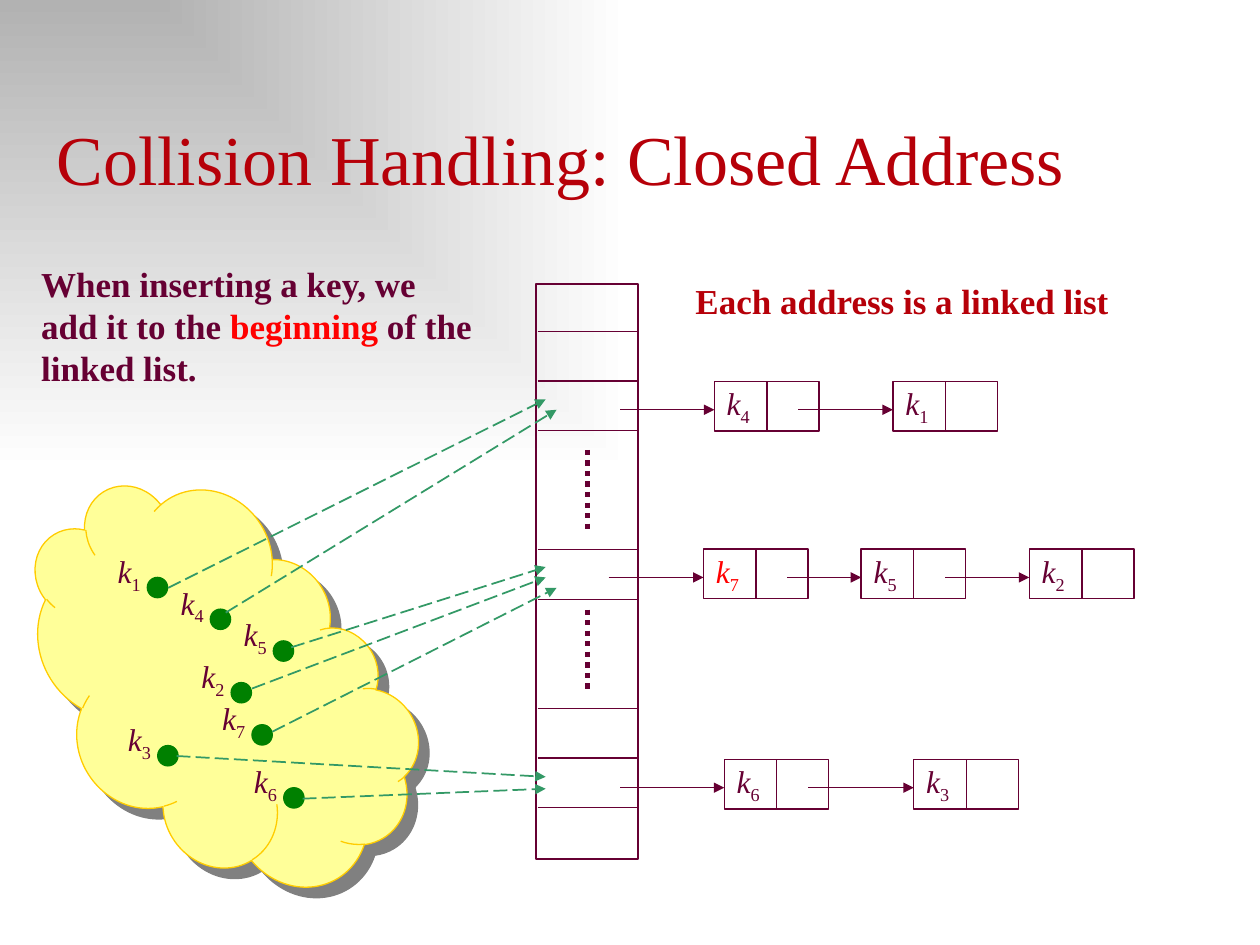
from lxml import etree
from pptx import Presentation
from pptx.dml.color import RGBColor
from pptx.enum.dml import MSO_LINE
from pptx.enum.shapes import MSO_CONNECTOR, MSO_SHAPE
from pptx.enum.text import MSO_ANCHOR
from pptx.oxml.ns import qn
from pptx.util import Cm, Pt

RECT, OVAL, CLOUD = MSO_SHAPE.RECTANGLE, MSO_SHAPE.OVAL, MSO_SHAPE.CLOUD
STRAIGHT = MSO_CONNECTOR.STRAIGHT
DOTS, DASHES = MSO_LINE.ROUND_DOT, MSO_LINE.LONG_DASH
TOP, BOTTOM = MSO_ANCHOR.TOP, MSO_ANCHOR.BOTTOM

HUES = {
    "gray": "B2B2B2", "white": "FFFFFF", "plum": "660033", "title": "B60009",
    "red": "FF0000", "cream": "FFFF99", "gold": "FFCC00", "shade": "808080",
    "green": "008000", "teal": "339966",
}
FONT = "Times New Roman"
TITLE = {"size": Pt(40)}
KEY = {"size": Pt(18), "italic": True}
SUB = {"size": Pt(18), "italic": False}
NOTE = {"size": Pt(20), "bold": True}

# First divider and number of dividers in each part of the hash table
RULES = [(6.68, 3), (11.08, 2), (14.28, 3)]
GAPS = [9.07, 12.29]

# Row top, start of the first link, then (left, key) of each node
CHAINS = [
    (7.62, 12.5, [(14.4, 4), (18, 1)]),
    (11, 12.27, [(14.18, 7), (17.36, 5), (20.75, 2)]),
    (15.24, 12.5, [(14.6, 6), (18.42, 3)]),
]

# Key, label corner, arrow start, arrow end
KEYS = [
    (1, (2.12, 11), (3.39, 11.85), (11, 8.05)),
    (5, (4.66, 12.28), (5.87, 13.05), (11, 11.43)),
    (2, (3.81, 13.12), (5.08, 13.88), (11, 11.64)),
    (4, (3.39, 11.64), (4.55, 12.35), (11.22, 8.26)),
    (3, (2.33, 14.39), (3.56, 15.24), (11, 15.66)),
    (7, (4.23, 13.97), (5.49, 14.75), (11.22, 11.85)),
    (6, (4.87, 15.24), (6.1, 16.1), (11, 15.9)),
]


def color(name):
    return RGBColor.from_string(HUES[name])


def child(node, tag, **attrs):
    return etree.SubElement(node, qn(tag), attrs)


class Pen:
    """Draws on the current slide, or inside a group passed as home."""

    def __init__(self, slide):
        self.slide = slide
        self.home = slide.shapes

    def group(self):
        return self.slide.shapes.add_group_shape().shapes

    def ground(self):
        fill = self.slide.background.fill
        fill.gradient()
        for stop, name in zip(fill.gradient_stops, ("gray", "white")):
            stop.color.rgb = color(name)
        grad = self.slide.element.find(".//" + qn("a:gradFill"))
        lin = grad.find(qn("a:lin"))
        if lin is not None:
            grad.remove(lin)
        focus = child(grad, "a:path", path="rect")
        child(focus, "a:fillToRect", r="100000", b="100000")

    def shape(self, kind, left, top, width, height, fill=None, line="plum",
              weight=0.75, home=None):
        item = (home or self.home).add_shape(
            kind, Cm(left), Cm(top), Cm(width), Cm(height))
        item.shadow.inherit = False
        if fill:
            item.fill.solid()
            item.fill.fore_color.rgb = color(fill)
        else:
            item.fill.background()
        item.line.color.rgb = color(line)
        item.line.width = Pt(weight)
        return item

    def line(self, start, end, hue="plum", weight=0.75, dash=None,
             arrow=False, home=None):
        ends = [Cm(n) for n in (*start, *end)]
        item = (home or self.home).add_connector(STRAIGHT, *ends)
        item.line.color.rgb = color(hue)
        item.line.width = Pt(weight)
        if dash:
            item.line.dash_style = dash
        if arrow:
            child(item.line._get_or_add_ln(), "a:tailEnd", type="triangle")
        child(item._element.spPr, "a:effectLst")

    def text(self, left, top, width, height, runs, anchor=TOP, home=None):
        """Each run is (words, format, hue)."""
        box = (home or self.home).add_textbox(
            Cm(left), Cm(top), Cm(width), Cm(height))
        frame = box.text_frame
        frame.word_wrap = True
        frame.vertical_anchor = anchor
        for words, style, hue in runs:
            run = frame.paragraphs[0].add_run()
            run.text = words
            for name, value in style.items():
                setattr(run.font, name, value)
            run.font.name = FONT
            run.font.color.rgb = color(hue)
            if style is SUB:
                run._r.get_or_add_rPr().set("baseline", "-25000")

    def label(self, left, top, width, key, hue, home):
        runs = [("k", KEY, hue), (str(key), SUB, hue)]
        self.text(left, top, width, 1.01, runs, home=home)

    def cloud(self):
        item = self.shape(CLOUD, -0.2, 10.8, 9.1, 6.15, "cream", "gold")
        item.rotation = 58.1
        effects = item._element.spPr.find(qn("a:effectLst"))
        shade = child(effects, "a:outerShdw", dist=str(Pt(8.5)),
                      dir="2700000", algn="ctr", rotWithShape="0")
        child(shade, "a:srgbClr", val=HUES["shade"])

    def table(self):
        home = self.group()
        self.shape(RECT, 10.8, 5.72, 2.07, 11.6, weight=1, home=home)
        for first, count in RULES:
            for row in range(count):
                y = first + row
                self.line((10.84, y), (12.84, y), home=home)
        for y in GAPS:
            self.line((11.84, y), (11.84, y + 1.6), weight=3, dash=DOTS,
                      home=home)

    def node(self, left, top, key):
        home = self.group()
        self.shape(RECT, left, top + 0.07, 2.11, 1, home=home)
        mid = left + 1.06
        self.line((mid, top + 0.07), (mid, top + 1.05), home=home)
        self.label(left, top, 1.27, key, "red" if key == 7 else "plum", home)

    def chain(self, top, start, nodes):
        y = top + 0.64
        for left, key in nodes:
            self.node(left, top, key)
            self.line((start, y), (left, y), arrow=True)
            start = left + 1.69

    def key(self, key, left, top):
        home = self.group()
        self.shape(OVAL, left + 0.85, top + 0.64, 0.41, 0.41, "green",
                   "green", home=home)
        self.label(left, top, 1.7, key, "plum", home)


def main():
    deck = Presentation()
    deck.slide_width, deck.slide_height = Cm(25.4), Cm(19.05)
    pen = Pen(deck.slides.add_slide(deck.slide_layouts[6]))
    pen.ground()
    pen.cloud()
    pen.text(0.89, 2.18, 24, 1.96,
             [("Collision Handling: Closed Address", TITLE, "title")], BOTTOM)
    pen.table()
    for chain in CHAINS:
        pen.chain(*chain)
    for key, spot, *_ in KEYS:
        pen.key(key, *spot)
    for *_, start, end in KEYS:
        pen.line(start, end, "teal", 1, DASHES, arrow=True)
    pen.text(13.77, 5.51, 9.32, 1.09,
             [("Each address is a linked list", NOTE, "title")])
    pen.text(0.58, 5.16, 9.32, 2.82, [
        ("When inserting a key, we add it to the ", NOTE, "plum"),
        ("beginning", NOTE, "red"),
        (" of the linked list.", NOTE, "plum"),
    ])
    deck.save("out.pptx")


if __name__ == "__main__":
    main()
